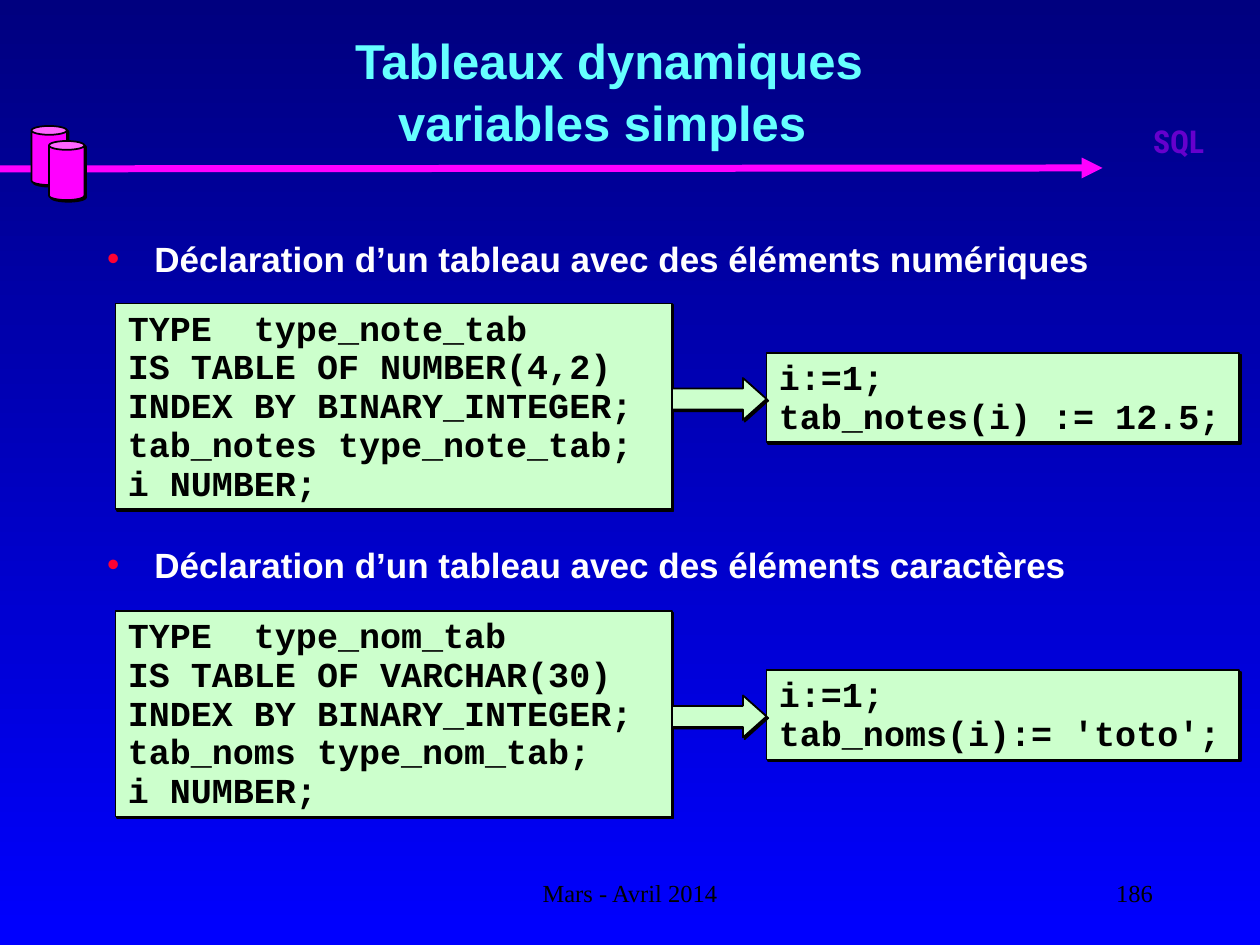
from lxml.etree import SubElement
from pptx import Presentation
from pptx.dml.color import RGBColor
from pptx.enum.shapes import MSO_CONNECTOR, MSO_SHAPE
from pptx.enum.text import MSO_ANCHOR, MSO_AUTO_SIZE, PP_ALIGN
from pptx.oxml import parse_xml
from pptx.oxml.ns import nsdecls, qn
from pptx.util import Pt

COLORS = {
    "top": "00007F", "base": "0000FF", "pink": "FF00FF", "title": "66FFFF",
    "white": "FFFFFF", "black": "000000", "box": "CCFFCC", "dot": "FF0033",
    "logo": "6600CC", "glow": "CC00CC", "edge": "CC99FF",
}
HEX = {key: RGBColor.from_string(val) for key, val in COLORS.items()}
FONTS = {
    "title": {"name": "Arial", "size": Pt(28), "bold": True},
    "body": {"name": "Arial", "size": Pt(20), "bold": True},
    "code": {"name": "Courier New", "size": Pt(20), "bold": True},
    "foot": {"name": "Times New Roman", "size": Pt(14), "bold": False},
    "logo": {"name": "Roboto Condensed", "size": Pt(18), "bold": True},
}


def write(shape, lines, style, color, anchor, **layout):
    """Fill a shape with formatted paragraphs and return them."""
    frame = shape.text_frame
    setup = {"word_wrap": True, "auto_size": MSO_AUTO_SIZE.NONE,
             "vertical_anchor": anchor,
             "margin_left": Pt(7.2), "margin_right": Pt(7.2),
             "margin_top": Pt(3.6), "margin_bottom": Pt(3.6)}
    for key, val in setup.items():
        setattr(frame, key, val)
    frame.text = "\n".join(lines)
    for para in frame.paragraphs:
        for key, val in layout.items():
            setattr(para, key, val)
        for run in para.runs:
            for key, val in FONTS[style].items():
                setattr(run.font, key, val)
            run.font.color.rgb = HEX[color]
    return frame.paragraphs


def draw(kind, left, top, width, height, color):
    """Add a filled shape with a black outline and a hard shadow."""
    shape = slide.shapes.add_shape(
        kind, Pt(left), Pt(top), Pt(width), Pt(height))
    shape.fill.solid()
    shape.fill.fore_color.rgb = HEX[color]
    shape.line.color.rgb = HEX["black"]
    shape.line.width = Pt(1)
    shape.shadow.inherit = False
    cast = SubElement(shape._element.spPr.find(qn("a:effectLst")),
                      qn("a:outerShdw"), dist=str(Pt(1.4)), dir="2700000",
                      algn="ctr", rotWithShape="0")
    SubElement(cast, qn("a:srgbClr"), val=COLORS["black"])
    return shape


deck = Presentation()
deck.slide_width, deck.slide_height = Pt(720), Pt(540)
slide = deck.slides.add_slide(deck.slide_layouts[1])

# Background and the gradient shared rule: top colour first, downwards
back = slide.background.fill
back.gradient()
back.gradient_angle = 270
for stop, key in zip(back.gradient_stops, ("top", "base")):
    stop.color.rgb = HEX[key]

# Header arrow
rule = slide.shapes.add_connector(
    MSO_CONNECTOR.STRAIGHT, Pt(-0.75), Pt(96.5), Pt(630), Pt(96))
rule.line.color.rgb = HEX["pink"]
rule.line.width = Pt(4)
SubElement(rule.line._get_or_add_ln(), qn("a:tailEnd"), type="triangle")
SubElement(rule._element.spPr, qn("a:effectLst"))

# Cylinders
for left, top in ((18, 72), (28, 80.6)):
    draw(MSO_SHAPE.CAN, left, top, 20.2, 33.8, "pink")

# SQL mark
mark = slide.shapes.add_textbox(Pt(631.5), Pt(66), Pt(84), Pt(56))
para, = write(mark, ["SQL"], "logo", "logo", MSO_ANCHOR.TOP,
              alignment=PP_ALIGN.CENTER)
font = para.runs[0].font
font.fill.gradient()
font.fill.gradient_angle = 270
for stop, key in zip(font.fill.gradient_stops, ("logo", "glow")):
    stop.color.rgb = HEX[key]
para.runs[0]._r.get_or_add_rPr().insert(0, parse_xml(
    f'<a:ln {nsdecls("a")} w="9525"><a:solidFill>'
    f'<a:srgbClr val="{COLORS["edge"]}"/></a:solidFill></a:ln>'))

# Title and list placeholders
title, body = slide.shapes.title, slide.placeholders[1]
for shape, area in ((title, (30, 6, 636, 90)), (body, (54, 132, 612, 324))):
    shape.left, shape.top, shape.width, shape.height = map(Pt, area)
write(title, ["Tableaux dynamiques\vvariables simples "], "title", "title",
      MSO_ANCHOR.MIDDLE, alignment=PP_ALIGN.CENTER, line_spacing=1.05)
kinds = ("numériques", "caractères")
items = write(body, [f"Déclaration d’un tableau avec des éléments {kind}"
                     for kind in kinds], "body", "white", MSO_ANCHOR.TOP)
for item, gap in zip(items, (0, 150.7)):
    props = item._p.get_or_add_pPr()
    props.set("marL", str(Pt(27)))
    props.set("indent", str(Pt(-27)))
    tint = SubElement(props, qn("a:buClr"))
    SubElement(tint, qn("a:srgbClr"), val=COLORS["dot"])
    SubElement(props, qn("a:buChar"), char="•")
    item.space_before = Pt(gap)

# Code rows: declaration, arrow, assignment
rows = (
    (173.5, 201.6,
     ["TYPE  type_note_tab", "IS TABLE OF NUMBER(4,2)",
      "INDEX BY BINARY_INTEGER;", "tab_notes type_note_tab;", "i NUMBER;"],
     ["i:=1;", "tab_notes(i) := 12.5;"]),
    (349.2, 383,
     ["TYPE  type_nom_tab", "IS TABLE OF VARCHAR(30)",
      "INDEX BY BINARY_INTEGER;", "tab_noms type_nom_tab;", "i NUMBER;"],
     ["i:=1;", "tab_noms(i):= 'toto';"]),
)
for top, side, types, calls in rows:
    for left, high, width, tall, code in ((66, top, 318, 117.4, types),
                                          (438, side, 270, 51, calls)):
        box = draw(MSO_SHAPE.RECTANGLE, left, high, width, tall, "box")
        write(box, code, "code", "black", MSO_ANCHOR.MIDDLE,
              alignment=PP_ALIGN.LEFT, line_spacing=Pt(22.15))
    arrow = draw(MSO_SHAPE.RIGHT_ARROW, 384, side + 14.4, 54, 24, "box")
    arrow.adjustments[1] = 0.56

# Footer
for left, width, text, align in (
        (246, 228, "Mars - Avril 2014", PP_ALIGN.CENTER),
        (516, 150, "186", PP_ALIGN.RIGHT)):
    foot = slide.shapes.add_textbox(Pt(left), Pt(492), Pt(width), Pt(36))
    write(foot, [text], "foot", "black", MSO_ANCHOR.MIDDLE, alignment=align)

deck.save("out.pptx")
